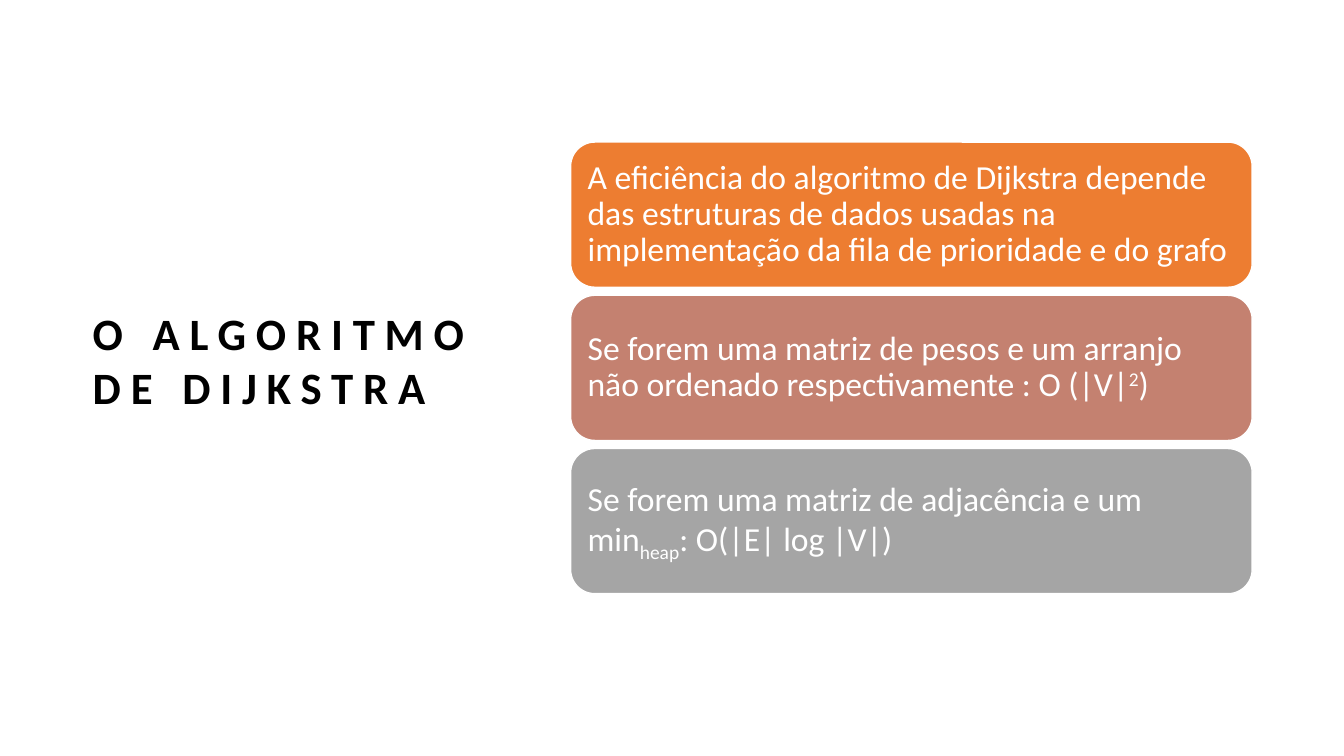
"""Slide on the efficiency of Dijkstra's algorithm: a title beside three stacked cards."""
from dataclasses import dataclass

from pptx import Presentation
from pptx.dml.color import RGBColor
from pptx.enum.shapes import MSO_SHAPE
from pptx.enum.text import MSO_ANCHOR, PP_ALIGN
from pptx.util import Inches, Pt

ROUNDED = MSO_SHAPE.ROUNDED_RECTANGLE
MIDDLE = MSO_ANCHOR.MIDDLE
LEFT = PP_ALIGN.LEFT

SLIDE_WIDTH, SLIDE_HEIGHT = 13.33, 7.5
CARD_LEFT, CARD_TOP = 5.66, 1.41
CARD_WIDTH, CARD_HEIGHT = 6.76, 1.44
ROW_PITCH = 1.52
FONT = "Calibri"


@dataclass(frozen=True)
class Piece:
    text: str
    baseline: int = 0


@dataclass(frozen=True)
class Card:
    fill: str
    pieces: tuple[Piece, ...]


CARDS = (
    Card("ED7D31", (
        Piece("A eficiência do algoritmo de Dijkstra depende das estruturas de dados "
              "usadas na implementação da fila de prioridade e do grafo"),
    )),
    Card("C48170", (
        Piece("Se forem uma matriz de pesos e um arranjo não ordenado "
              "respectivamente : O (|V|"),
        Piece("2", 30),
        Piece(")"),
    )),
    Card("A5A5A5", (
        Piece("Se forem uma matriz de adjacência e um min"),
        Piece("heap", -25),
        Piece(": O(|E| log |V|)"),
    )),
)


def color(hex_value: str) -> RGBColor:
    return RGBColor.from_string(hex_value)


def set_text(frame, pieces: tuple[Piece, ...], size: int, hex_color: str,
             margin: float, bold: bool = False, tracking: int = 0):
    frame.word_wrap = True
    frame.vertical_anchor = MIDDLE
    frame.margin_left = frame.margin_right = Inches(margin)
    frame.margin_top = frame.margin_bottom = Inches(margin)
    paragraph = frame.paragraphs[0]
    paragraph.alignment = LEFT
    font = paragraph.font
    font.name, font.size, font.bold = FONT, Pt(size), bold
    font.color.rgb = color(hex_color)
    for piece in pieces:
        run = paragraph.add_run()
        run.text = piece.text
        properties = run._r.get_or_add_rPr()
        if piece.baseline:
            properties.set("baseline", str(piece.baseline * 1000))
        if tracking:
            properties.set("spc", str(tracking * 100))
    return paragraph


def add_title(slide) -> None:
    title = slide.shapes.add_textbox(Inches(0.92), Inches(1.12), Inches(4.2), Inches(4.89))
    paragraph = set_text(title.text_frame, (Piece("O ALGORITMO DE DIJKSTRA"),),
                         32, "000000", 0, bold=True, tracking=7)
    paragraph.space_after = Pt(6)


def add_card(slide, row: int, card: Card) -> None:
    panel = slide.shapes.add_shape(
        ROUNDED, Inches(CARD_LEFT), Inches(CARD_TOP + row * ROW_PITCH),
        Inches(CARD_WIDTH), Inches(CARD_HEIGHT))
    panel.shadow.inherit = False
    panel.fill.solid()
    panel.fill.fore_color.rgb = color(card.fill)
    panel.line.color.rgb = color("FFFFFF")
    panel.line.width = Pt(1)
    paragraph = set_text(panel.text_frame, card.pieces, 24, "FFFFFF", 0.1)
    paragraph.line_spacing = 0.9


def main() -> None:
    presentation = Presentation()
    presentation.slide_width = Inches(SLIDE_WIDTH)
    presentation.slide_height = Inches(SLIDE_HEIGHT)
    slide = presentation.slides.add_slide(presentation.slide_layouts[6])
    add_title(slide)
    for row, card in enumerate(CARDS):
        add_card(slide, row, card)
    presentation.save("out.pptx")


if __name__ == "__main__":
    main()
